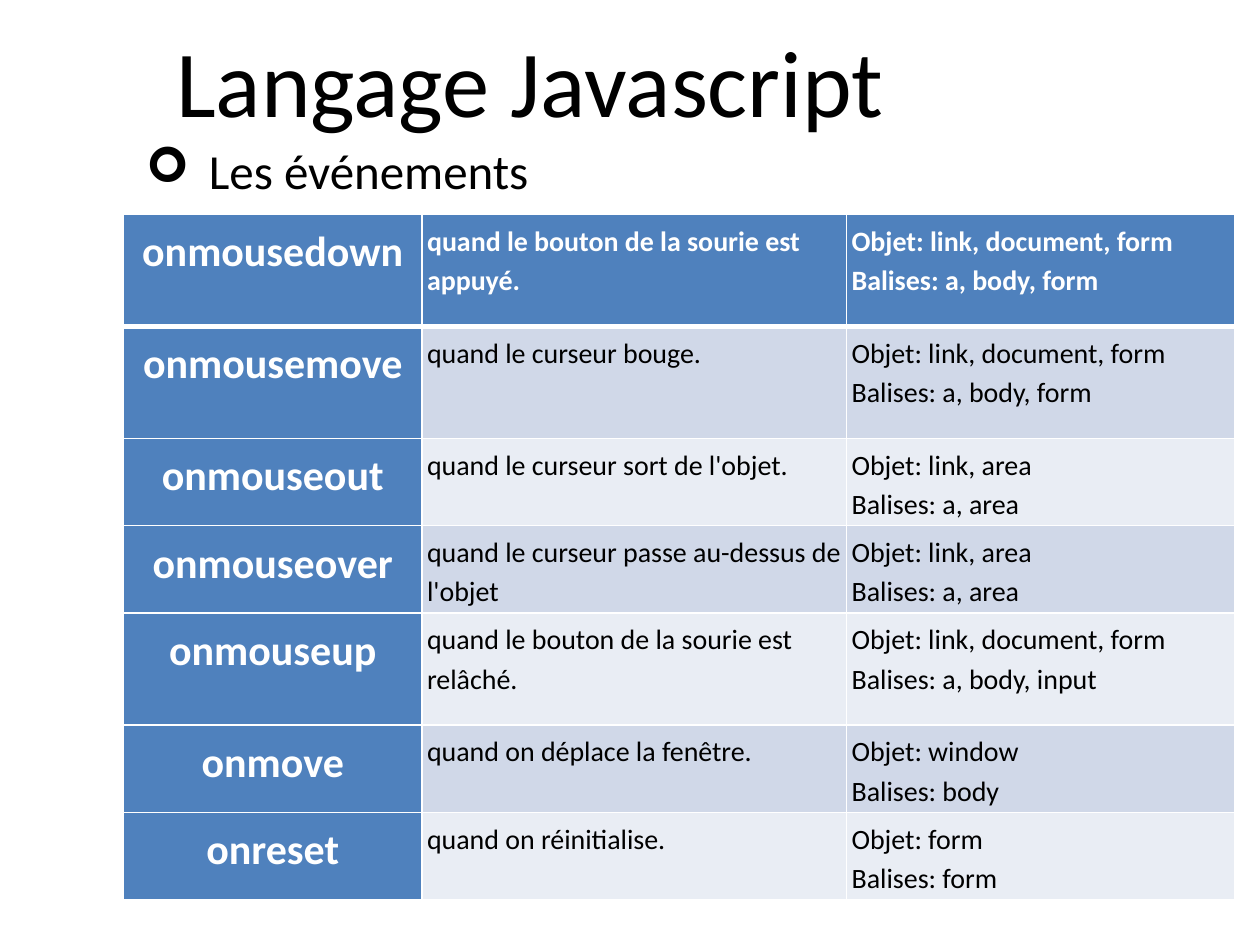
from lxml.etree import SubElement
from pptx import Presentation
from pptx.dml.color import RGBColor
from pptx.enum.text import MSO_AUTO_SIZE, PP_ALIGN
from pptx.oxml.ns import qn
from pptx.util import Inches, Pt

HUE = {"ink": "000000", "white": "FFFFFF", "head": "4F81BD",
       "dark": "D0D8E8", "light": "E9EDF4"}
WIDE = 10
COLS = [2.37, 3.37, 3.08]
TALL, LOW = 0.89, 0.64
ROWS = [
    (TALL, "onmousedown", "quand le bouton de la sourie est appuyé.",
     "link, document, form", "a, body, form"),
    (TALL, "onmousemove", "quand le curseur bouge.",
     "link, document, form", "a, body, form"),
    (LOW, "onmouseout", "quand le curseur sort de l'objet.",
     "link, area", "a, area"),
    (LOW, "onmouseover", "quand le curseur passe au-dessus de l'objet",
     "link, area", "a, area"),
    (TALL, "onmouseup", "quand le bouton de la sourie est relâché.",
     "link, document, form", "a, body, input"),
    (LOW, "onmove", "quand on déplace la fenêtre.", "window", "body"),
    (LOW, "onreset", "quand on réinitialise.", "form", "form"),
]


def write(para, text, size, hue="ink", bold=False):
    """Add text to a paragraph, one run per line."""
    for n, line in enumerate(text.split("\n")):
        if n:
            para.add_line_break()
        run = para.add_run()
        run.text = line
        run.font.name = "Calibri"
        run.font.size = Pt(size)
        run.font.bold = bold
        run.font.color.rgb = RGBColor.from_string(HUE[hue])


def edge(cell, side, width):
    """Draw one white border of a cell."""
    line = SubElement(cell._tc.get_or_add_tcPr(), qn(f"a:ln{side}"), w=str(Pt(width)))
    fill = SubElement(line, qn("a:solidFill"))
    SubElement(fill, qn("a:srgbClr"), val=HUE["white"])


deck = Presentation()
deck.slide_width, deck.slide_height = Inches(WIDE), Inches(7.5)
slide = deck.slides.add_slide(deck.slide_layouts[6])

# Title and bulleted subtitle
paras = []
for box, text, size in [((1.3, 0.13, 8.58, 1.01), "Langage Javascript", 54),
                        ((1.06, 1.07, 4.72, 0.57), "Les événements", 28)]:
    frame = slide.shapes.add_textbox(*map(Inches, box)).text_frame
    frame.word_wrap = True
    frame.auto_size = MSO_AUTO_SIZE.SHAPE_TO_FIT_TEXT
    write(frame.paragraphs[0], text, size)
    paras.append(frame.paragraphs[0])

props = paras[1]._p.get_or_add_pPr()
props.set("marL", str(Inches(0.5)))
props.set("indent", str(-Inches(0.5)))
SubElement(props, qn("a:buFont"), typeface="Wingdings")
SubElement(props, qn("a:buChar"), char="➢")

# Event table
high = sum(row[0] for row in ROWS)
grid = slide.shapes.add_table(len(ROWS), len(COLS), Inches(0.98), Inches(1.7),
                              Inches(sum(COLS)), Inches(high)).table
grid.first_col = True
for col, width in zip(grid.columns, COLS):
    col.width = Inches(width)

for r, (tall, name, when, goal, tags) in enumerate(ROWS):
    grid.rows[r].height = Inches(tall)
    band = "dark" if r % 2 else "light"
    for c, text in enumerate([name, when, f"Objet: {goal}\nBalises: {tags}"]):
        cell = grid.cell(r, c)
        head = r == 0 or c == 0
        cell.margin_left = cell.margin_right = Inches(0.04)
        cell.margin_top = cell.margin_bottom = Inches(0.04)
        for side in "LRTB":
            thick = (r, side) in [(0, "B"), (1, "T")]
            edge(cell, side, 3 if thick else 1)
        cell.fill.solid()
        cell.fill.fore_color.rgb = RGBColor.from_string(HUE["head" if head else band])
        para = cell.text_frame.paragraphs[0]
        para.line_spacing = 1.15
        para.alignment = PP_ALIGN.LEFT if c else PP_ALIGN.CENTER
        write(para, text, 16 if c else 24, "white" if head else "ink", head)

deck.save("out.pptx")
